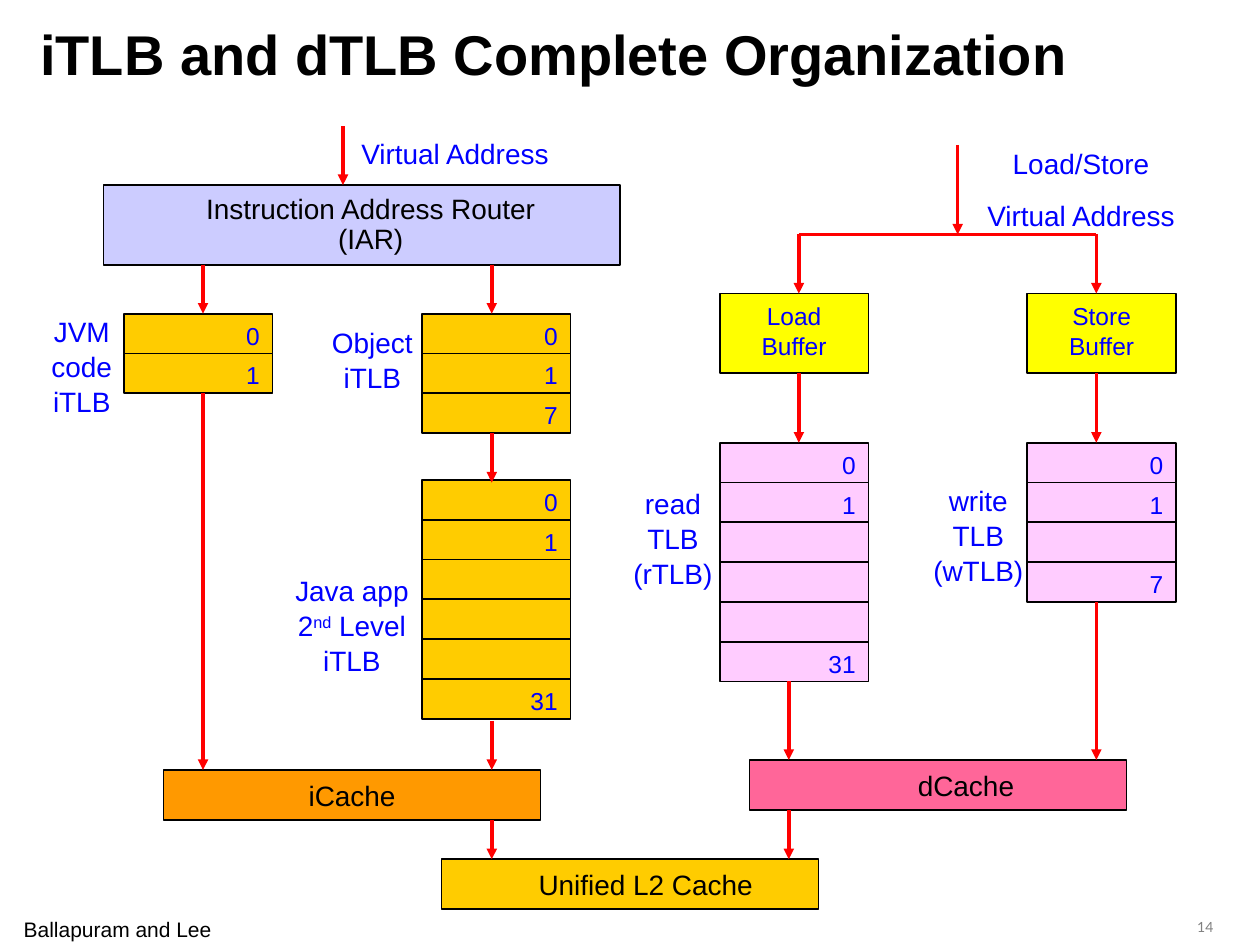
from lxml.etree import SubElement
from pptx import Presentation
from pptx.dml.color import RGBColor
from pptx.enum.shapes import MSO_CONNECTOR as Connector, MSO_SHAPE as Shape
from pptx.enum.text import MSO_ANCHOR as Anchor, PP_ALIGN as Align
from pptx.oxml.ns import qn
from pptx.util import Pt

BLACK, BLUE, RED = "000000", "0000FF", "FF0000"
GOLD, PINK, YELLOW = "FFCC00", "FFCCFF", "FFFF00"
CELL_WIDTH, CELL_HEIGHT = 85, 22.75
JVM_LEFT, OBJECT_LEFT, READ_LEFT, WRITE_LEFT = 70.75, 241, 411.25, 587
JVM_X, OBJECT_X, READ_X, WRITE_X, CACHE_X = 116, 281, 456.5, 626.5, 450.75


def color(value):
    """Turn a hex string into a colour."""
    return RGBColor.from_string(value)


def write(frame, text, size=16, ink=BLACK, font="Arial", bold=False,
          align=Align.CENTER, anchor=Anchor.TOP, margins=(0, 0, 0, 0),
          spacing=1.0, gap=0):
    """Fill a text frame; newlines split paragraphs and ^ marks superscripts."""
    frame.word_wrap = True
    frame.vertical_anchor = anchor
    left, top, right, bottom = margins
    frame.margin_left, frame.margin_top = Pt(left), Pt(top)
    frame.margin_right, frame.margin_bottom = Pt(right), Pt(bottom)
    for index, line in enumerate(text.split("\n")):
        paragraph = frame.add_paragraph() if index else frame.paragraphs[0]
        paragraph.alignment = align
        paragraph.line_spacing = spacing
        paragraph.space_before = Pt(gap if index else 0)
        for part, words in enumerate(line.split("^")):
            run = paragraph.add_run()
            run.text = words
            run.font.name, run.font.size, run.font.bold = font, Pt(size), bold
            run.font.color.rgb = color(ink)
            if part % 2:
                run.font._element.set("baseline", "30000")


def add_label(slide, text, left, top, width, height, **text_format):
    """Add free-standing text."""
    label = slide.shapes.add_textbox(Pt(left), Pt(top), Pt(width), Pt(height))
    write(label.text_frame, text, **text_format)


def add_block(slide, text, left, top, width, height, fill, **text_format):
    """Add an outlined rectangle with its text."""
    block = slide.shapes.add_shape(
        Shape.RECTANGLE, Pt(left), Pt(top), Pt(width), Pt(height))
    block.shadow.inherit = False
    block.fill.solid()
    block.fill.fore_color.rgb = color(fill)
    block.line.color.rgb = color(BLACK)
    block.line.width = Pt(1)
    if text:
        write(block.text_frame, text, **text_format)


def add_buffer(slide, text, left):
    """Add a load or store buffer."""
    add_block(slide, text, left, 167.75, CELL_WIDTH, 45.5, YELLOW, size=14,
              ink=BLUE, spacing=1.04, margins=(0, 3.6, 0, 0))


def add_entries(slide, entries, left, top, fill):
    """Stack the entries of one TLB as equal cells."""
    for row, entry in enumerate(entries):
        add_block(slide, entry, left, top + row * CELL_HEIGHT, CELL_WIDTH,
                  CELL_HEIGHT, fill, size=14, ink=BLUE, align=Align.RIGHT,
                  anchor=Anchor.MIDDLE, margins=(0, 2, 7.25, 0))


def add_flow(slide, x1, y1, x2, y2, arrow=True):
    """Draw a red flow line, with an arrowhead unless told otherwise."""
    flow = slide.shapes.add_connector(
        Connector.STRAIGHT, Pt(x1), Pt(y1), Pt(x2), Pt(y2))
    flow.line.color.rgb = color(RED)
    flow.line.width = Pt(2)
    properties = flow._element.spPr
    if arrow:
        SubElement(properties.find(qn("a:ln")), qn("a:tailEnd"), type="triangle")
    SubElement(properties, qn("a:effectLst"))


def add_title(slide, text):
    """Place and format the title."""
    title = slide.shapes.title
    title.left, title.top = Pt(15.75), Pt(5.75)
    title.width, title.height = Pt(690), Pt(49)
    write(title.text_frame, text, size=32, bold=True, align=Align.LEFT,
          anchor=Anchor.MIDDLE, margins=(7.2, 3.6, 7.2, 3.6))


def main():
    """Build the slide."""
    deck = Presentation()
    deck.slide_width, deck.slide_height = Pt(720), Pt(540)
    slide = deck.slides.add_slide(deck.slide_layouts[5])
    add_title(slide, "iTLB and dTLB Complete Organization")

    add_block(slide, "Instruction Address Router\n(IAR)", 59.25, 105.75, 295.25,
              45.5, "CCCCFF", spacing=0.9, margins=(10, 6, 0, 0))
    add_buffer(slide, "Load\nBuffer", READ_LEFT)
    add_buffer(slide, "Store\nBuffer", WRITE_LEFT)

    for entries, left, top, fill in (
        (["0", "1"], JVM_LEFT, 179.25, GOLD),
        (["0", "1", "7"], OBJECT_LEFT, 179.25, GOLD),
        (["0", "1", "", "", "", "31"], OBJECT_LEFT, 274.25, GOLD),
        (["0", "1", "", "", "", "31"], READ_LEFT, 253, PINK),
        (["0", "1", "", "7"], WRITE_LEFT, 253, PINK),
    ):
        add_entries(slide, entries, left, top, fill)

    for name, left, top, fill, inset in (
        ("iCache", 93.5, 440, "FF9900", 0),
        ("dCache", 428.25, 434.25, "FF6699", 32),
        ("Unified L2 Cache", 252.25, 491, GOLD, 18),
    ):
        add_block(slide, name, left, top, 215.5, 28.5, fill,
                  anchor=Anchor.MIDDLE, margins=(inset, 0, 0, 0))

    for x, start, end in (
        (196, 72, 105.75),
        (JVM_X, 151.25, 179.25),
        (JVM_X, 224.75, 440),
        (OBJECT_X, 151.25, 179.25),
        (OBJECT_X, 247.5, 275.75),
        (OBJECT_X, 412, 440),
        (OBJECT_X, 468.5, 491),
        (547.25, 82.75, 134),
        (READ_X, 134, 167.75),
        (READ_X, 213.25, 253),
        (WRITE_X, 134, 167.75),
        (WRITE_X, 213.25, 253),
        (WRITE_X, 344, 434.25),
        (CACHE_X, 389.25, 434.25),
        (CACHE_X, 462.75, 491),
    ):
        add_flow(slide, x, start, x, end)
    add_flow(slide, READ_X, 134, WRITE_X, 134, arrow=False)

    for text, left, top, width, height in (
        ("Virtual Address", 204, 77.5, 112, 19.25),
        ("Load/Store\nVirtual Address", 561.75, 83, 112, 48.25),
        ("JVM code iTLB", 16.5, 179.25, 60.5, 57.5),
        ("Object iTLB", 184.25, 185.25, 57, 38.25),
        ("Java app 2^nd^ Level iTLB", 161.5, 327, 79.25, 57.5),
        ("read TLB (rTLB)", 360, 277.5, 49, 57.5),
        ("write TLB (wTLB)", 527.75, 275.75, 62.5, 57.5),
    ):
        add_label(slide, text, left, top, width, height, ink=BLUE,
                  spacing=1.04, gap=10)

    add_label(slide, "Ballapuram and Lee", 11.75, 523.5, 111, 14.5, size=12)
    add_label(slide, "14", 653, 521.25, 47.5, 12.25, size=8, font="Lato",
              ink="808080", align=Align.RIGHT, margins=(7.2, 3.6, 7.2, 3.6))
    deck.save("out.pptx")


if __name__ == "__main__":
    main()
